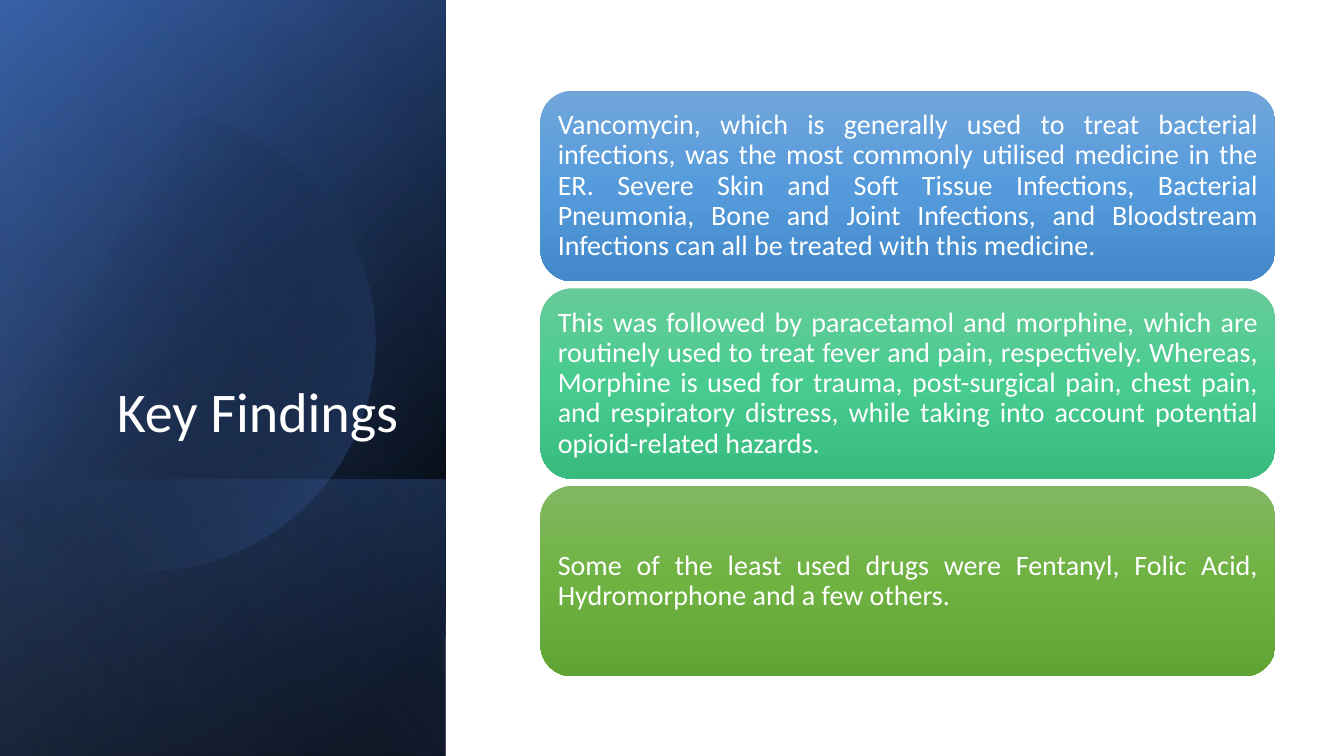
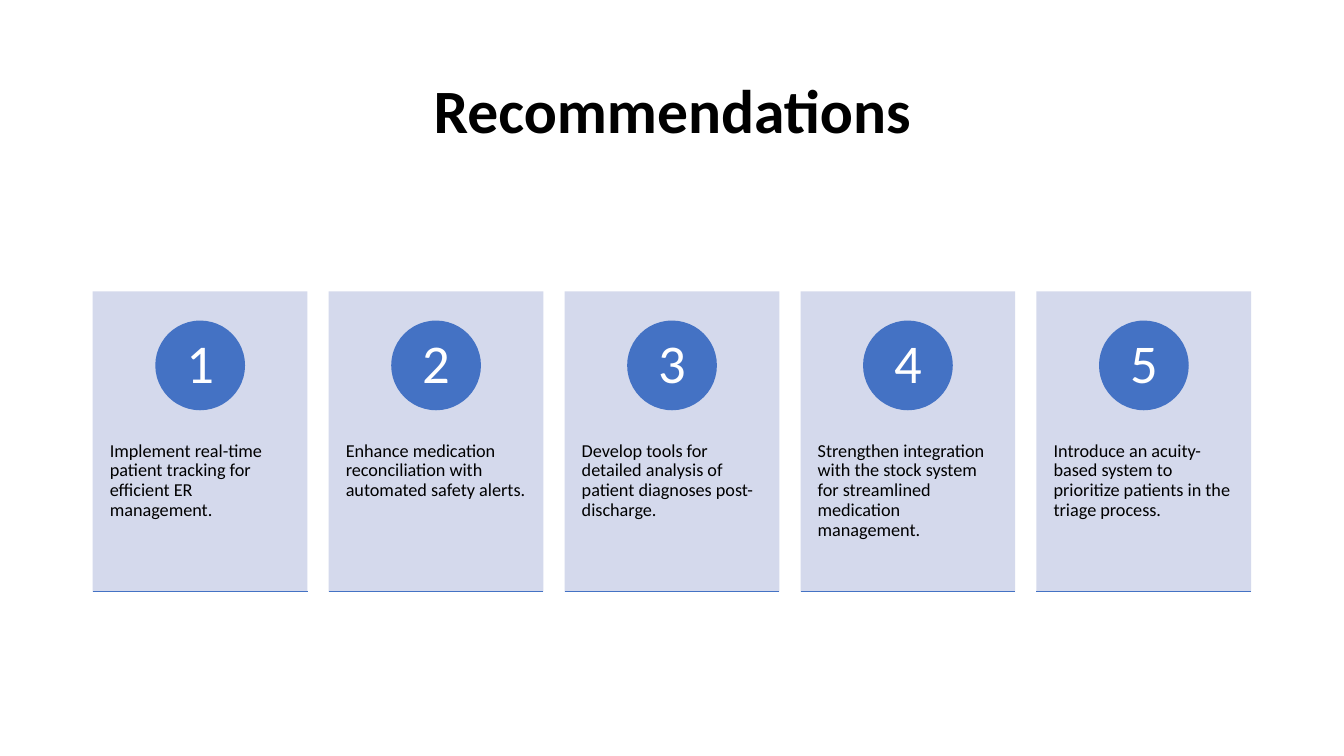
"""Build the key findings and recommendations slides."""
from math import acos, cos, sin

from lxml import etree
from pptx import Presentation
from pptx.dml.color import RGBColor
from pptx.enum.shapes import MSO_CONNECTOR, MSO_SHAPE
from pptx.enum.text import MSO_ANCHOR, PP_ALIGN
from pptx.oxml.ns import qn
from pptx.util import Inches, Pt

RECT, ROUND, OVAL = MSO_SHAPE.RECTANGLE, MSO_SHAPE.ROUNDED_RECTANGLE, MSO_SHAPE.OVAL
STRAIGHT = MSO_CONNECTOR.STRAIGHT
TOP, MIDDLE, BOTTOM = MSO_ANCHOR.TOP, MSO_ANCHOR.MIDDLE, MSO_ANCHOR.BOTTOM
LEFT, CENTER, RIGHT, JUSTIFY = PP_ALIGN.LEFT, PP_ALIGN.CENTER, PP_ALIGN.RIGHT, PP_ALIGN.JUSTIFY

FONT, BLUE, PALE, WHITE, BLACK = "Calibri", "4472C4", "D4D9EC", "FFFFFF", "000000"
WIDE, HIGH = 13.33, 7.5

SIDE = 4.42
UNDER = [
    (0, HIGH, 50, [(8, BLACK, 100), (100, "2F5597", 100)]),
    (0, HIGH, 30, [(0, BLACK, 0), (99, BLUE, 46)]),
    (4.76, 2.74, 130, [(2, BLUE, 29), (100, BLACK, 30)]),
]
OVER = (0, HIGH, 120, [(0, BLACK, 0), (99, "8FAADC", 11)])
GLOW = [(29, BLACK, 0), (100, BLUE, 43)]

FINDINGS = [
    ("Vancomycin, which is generally used to treat bacterial infections, was the most "
     "commonly utilised medicine in the ER. Severe Skin and Soft Tissue Infections, "
     "Bacterial Pneumonia, Bone and Joint Infections, and Bloodstream Infections can all "
     "be treated with this medicine.", ("71A6DB", "559BDB", "448ACA")),
    ("This was followed by paracetamol and morphine, which are routinely used to treat "
     "fever and pain, respectively. Whereas, Morphine is used for trauma, post-surgical "
     "pain, chest pain, and respiratory distress, while taking into account potential "
     "opioid-related hazards.", ("67CC9A", "47CB8E", "39BB7F")),
    ("Some of the least used drugs were Fentanyl, Folic Acid, Hydromorphone and a few "
     "others.", ("81B861", "6FB242", "62A336")),
]
STEPS = [
    "Implement real-time patient tracking for efficient ER management.",
    "Enhance medication reconciliation with automated safety alerts.",
    "Develop tools for detailed analysis of patient diagnoses post-discharge.",
    "Strengthen integration with the stock system for streamlined medication management.",
    "Introduce an acuity-based system to prioritize patients in the triage process.",
]


def paint(color, tint):
    color.rgb = RGBColor.from_string(tint)


def blend(shape, angle, stops):
    shape.fill.gradient()
    grad = shape._element.spPr.find(qn("a:gradFill"))
    for part in list(grad):
        grad.remove(part)
    group = etree.SubElement(grad, qn("a:gsLst"))
    for pos, tint, alpha in stops:
        stop = etree.SubElement(group, qn("a:gs"), pos=str(pos * 1000))
        color = etree.SubElement(stop, qn("a:srgbClr"), val=tint)
        etree.SubElement(color, qn("a:alpha"), val=str(alpha * 1000))
    etree.SubElement(grad, qn("a:lin"), ang=str(angle * 60000), scaled="0")


def bare(shape):
    shape.shadow.inherit = False
    shape.line.fill.background()
    return shape


def add(slide, kind, box, tint=None):
    shape = bare(slide.shapes.add_shape(kind, *map(Inches, box)))
    if tint:
        shape.fill.solid()
        paint(shape.fill.fore_color, tint)
    return shape


def write(shape, text, size, tint, align, anchor, pads, bold=False):
    frame = shape.text_frame
    frame.word_wrap = True
    frame.vertical_anchor = anchor
    (frame.margin_left, frame.margin_top,
     frame.margin_right, frame.margin_bottom) = map(Inches, pads)
    para = frame.paragraphs[0]
    para.text = text
    para.alignment = align
    para.line_spacing = 0.9
    para.font.name, para.font.size, para.font.bold = FONT, Pt(size), bold
    paint(para.font.color, tint)


def head(slide, text, box, size, tint, align, anchor, bold=False):
    title = slide.shapes.title
    title.left, title.top, title.width, title.height = map(Inches, box)
    write(title, text, size, tint, align, anchor, (0.1, 0.05, 0.1, 0.05), bold)
    slide.shapes._spTree.append(title._element)


def panel(slide, top, tall, angle, stops):
    box = ((SIDE - tall) / 2, top + (tall - SIDE) / 2, tall, SIDE)
    shape = add(slide, RECT, box)
    shape.rotation = 90
    shape._element.spPr.xfrm.set("flipH", "1")
    blend(shape, angle, stops)


def disc(slide, x=1.44, y=3.38, radius=2.28, count=120):
    sweep = acos(-x / radius)
    turns = [sweep * (2 * i / count - 1) for i in range(count + 1)]
    points = [(Inches(x + radius * cos(t)), Inches(y + radius * sin(t))) for t in turns]
    path = slide.shapes.build_freeform(*points[0])
    path.add_line_segments(points[1:], close=True)
    blend(bare(path.convert_to_shape()), 30, GLOW)


def findings(slide):
    for part in UNDER:
        panel(slide, *part)
    disc(slide)
    panel(slide, *OVER)
    head(slide, "Key Findings", (0.64, 1.84, 3.41, 2.62), 40, WHITE, RIGHT, BOTTOM)
    tall, gap = 1.89, 0.07
    for i, (text, tints) in enumerate(FINDINGS):
        card = add(slide, ROUND, (5.36, 0.9 + i * (tall + gap), 7.29, tall))
        blend(card, 90, [(50 * n, tint, 100) for n, tint in enumerate(tints)])
        write(card, text, 20, WHITE, JUSTIFY, MIDDLE, (0.08,) * 4)


def steps(slide):
    head(slide, "Recommendations", (0.92, 0.4, 11.5, 1.45), 44, BLACK, CENTER, MIDDLE, True)
    top, wide, tall, gap, dot = 2.89, 2.13, 2.98, 0.21, 0.89
    for i, text in enumerate(STEPS):
        left, base = 0.92 + i * (wide + gap), top + tall
        card = add(slide, RECT, (left, top, wide, tall), PALE)
        write(card, text, 13, BLACK, LEFT, TOP, (0.17, 1.49, 0.17, 0.36))
        badge = add(slide, OVAL, (left + (wide - dot) / 2, 3.18, dot, dot), BLUE)
        write(badge, str(i + 1), 39, WHITE, CENTER, MIDDLE, (0.07, 0.01, 0.07, 0.01))
        ends = map(Inches, (left, base, left + wide, base))
        rule = slide.shapes.add_connector(STRAIGHT, *ends)
        rule.line.width = Pt(1)
        paint(rule.line.color, BLUE)
        etree.SubElement(rule._element.spPr, qn("a:effectLst"))


def main():
    deck = Presentation()
    deck.slide_width, deck.slide_height = Inches(WIDE), Inches(HIGH)
    for build in (findings, steps):
        build(deck.slides.add_slide(deck.slide_layouts[5]))
    deck.save("out.pptx")


if __name__ == "__main__":
    main()
